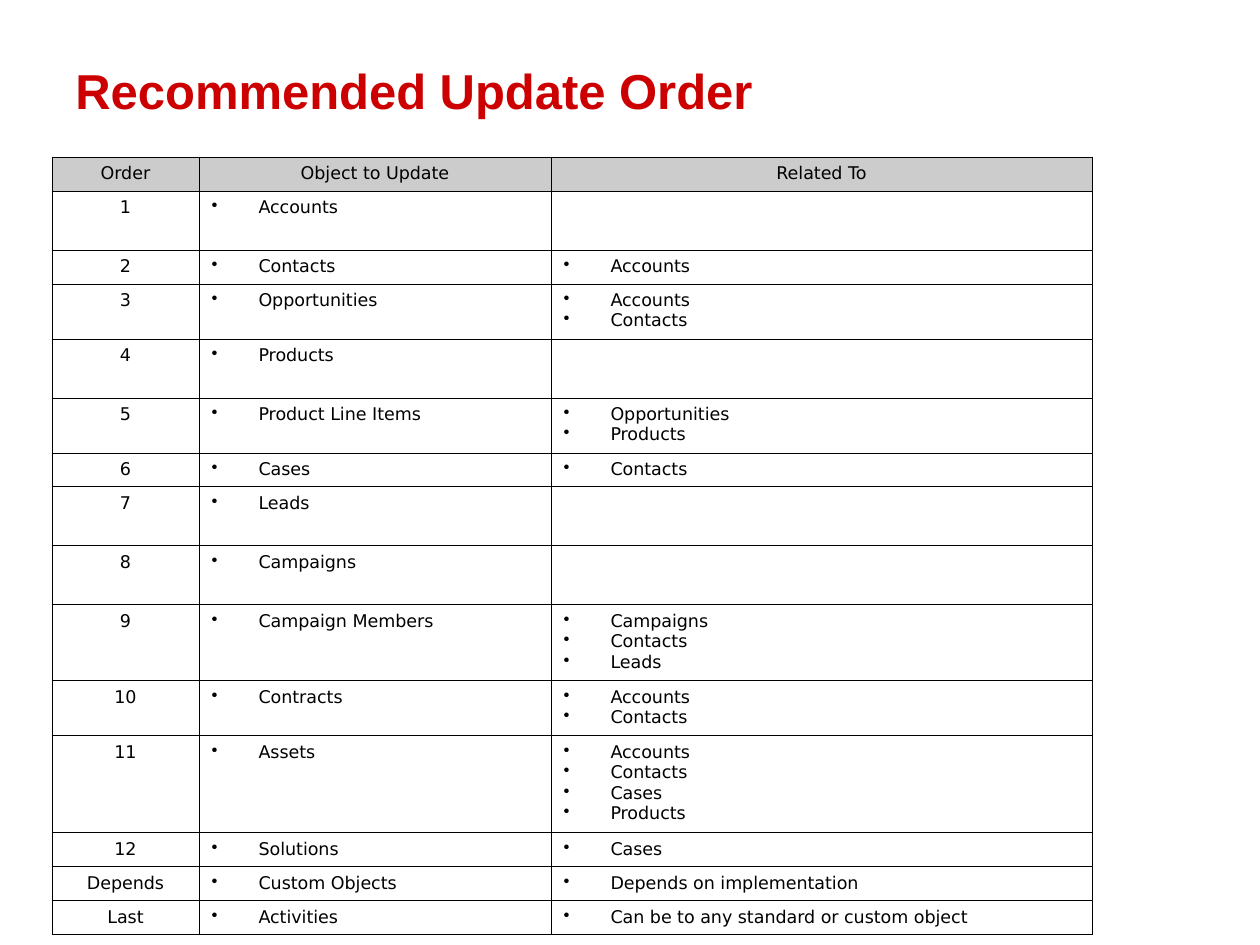
import dataclasses

import lxml.etree
import pptx
import pptx.dml.color
import pptx.enum.text
import pptx.oxml.ns
import pptx.presentation
import pptx.slide
import pptx.table
import pptx.text.text
import pptx.util

PX_PER_INCH = 126
RED = pptx.dml.color.RGBColor(0xCC, 0x00, 0x00)
BLACK = pptx.dml.color.RGBColor(0x00, 0x00, 0x00)
GREY = pptx.dml.color.RGBColor(0xCC, 0xCC, 0xCC)
TITLE_FONT = "Arial"
TABLE_FONT = "DejaVu Sans"
BORDER = pptx.util.Pt(0.45)
INDENT = 47
CELL_PADDING = 13
LINE_HEIGHT = 21
EMPTY_CELL_HEIGHT = 59
COLUMN_WIDTHS = (147, 352, 541)
HEADINGS = ("Order", "Object to Update", "Related To")


@dataclasses.dataclass(frozen=True)
class UpdateStep:
    order: str
    target: str
    related: tuple[str, ...] = ()

    @property
    def height(self) -> int:
        if not self.related:
            return EMPTY_CELL_HEIGHT
        return CELL_PADDING + LINE_HEIGHT * len(self.related)


STEPS = (
    UpdateStep("1", "Accounts"),
    UpdateStep("2", "Contacts", ("Accounts",)),
    UpdateStep("3", "Opportunities", ("Accounts", "Contacts")),
    UpdateStep("4", "Products"),
    UpdateStep("5", "Product Line Items", ("Opportunities", "Products")),
    UpdateStep("6", "Cases", ("Contacts",)),
    UpdateStep("7", "Leads"),
    UpdateStep("8", "Campaigns"),
    UpdateStep("9", "Campaign Members", ("Campaigns", "Contacts", "Leads")),
    UpdateStep("10", "Contracts", ("Accounts", "Contacts")),
    UpdateStep("11", "Assets", ("Accounts", "Contacts", "Cases", "Products")),
    UpdateStep("12", "Solutions", ("Cases",)),
    UpdateStep("Depends", "Custom Objects", ("Depends on implementation",)),
    UpdateStep("Last", "Activities", ("Can be to any standard or custom object",)),
)


def px(length: int) -> pptx.util.Emu:
    return pptx.util.Emu(round(length * 914400 / PX_PER_INCH))


def add_element(parent: lxml.etree._Element, tag: str, **attributes: str) -> lxml.etree._Element:
    element = lxml.etree.SubElement(parent, pptx.oxml.ns.qn(tag))
    for name, value in attributes.items():
        element.set(name, value)
    return element


def add_run(
    para: pptx.text.text._Paragraph,
    text: str,
    font: str,
    size: int,
    color: pptx.dml.color.RGBColor,
    bold: bool = False,
) -> None:
    span = para.add_run()
    span.text = text
    span.font.name = font
    span.font.size = pptx.util.Pt(size)
    span.font.bold = bold
    span.font.color.rgb = color


def set_borders(cell: pptx.table._Cell) -> None:
    properties = cell._tc.get_or_add_tcPr()
    for position, side in enumerate(("a:lnL", "a:lnR", "a:lnT", "a:lnB")):
        line = add_element(properties, side, w=str(BORDER))
        fill = add_element(line, "a:solidFill")
        add_element(fill, "a:srgbClr", val=str(BLACK))
        properties.insert(position, line)


def write_cell(cell: pptx.table._Cell, lines: tuple[str, ...], bulleted: bool) -> None:
    cell.margin_left = cell.margin_right = pptx.util.Inches(0.1)
    cell.margin_top = cell.margin_bottom = pptx.util.Inches(0.05)
    set_borders(cell)
    for number, text in enumerate(lines):
        frame = cell.text_frame
        para = frame.add_paragraph() if number else frame.paragraphs[0]
        properties = para._p.get_or_add_pPr()
        properties.set("marL", str(px(INDENT)))
        properties.set("indent", str(-px(INDENT)))
        if bulleted:
            para.alignment = pptx.enum.text.PP_ALIGN.LEFT
            bullet_color = add_element(properties, "a:buClr")
            add_element(bullet_color, "a:srgbClr", val=str(BLACK))
            add_element(properties, "a:buChar", char="•")
        else:
            para.alignment = pptx.enum.text.PP_ALIGN.CENTER
        add_run(para, text, TABLE_FONT, 10, BLACK)


def add_title(page: pptx.slide.Slide) -> None:
    box = page.shapes.add_textbox(px(63), px(32), px(1113), px(116))
    frame = box.text_frame
    frame.word_wrap = True
    frame.vertical_anchor = pptx.enum.text.MSO_ANCHOR.MIDDLE
    add_run(frame.paragraphs[0], "Recommended Update Order", TITLE_FONT, 28, RED, bold=True)


def add_update_table(page: pptx.slide.Slide) -> None:
    heights = [CELL_PADDING + LINE_HEIGHT] + [step.height for step in STEPS]
    frame = page.shapes.add_table(
        len(heights), len(COLUMN_WIDTHS), px(52), px(157), px(sum(COLUMN_WIDTHS)), px(sum(heights))
    )
    table = frame.table
    table.first_row = False
    table.horz_banding = False
    for column, width in zip(table.columns, COLUMN_WIDTHS):
        column.width = px(width)
    for row, height in zip(table.rows, heights):
        row.height = px(height)
    for column, heading in enumerate(HEADINGS):
        cell = table.cell(0, column)
        cell.fill.solid()
        cell.fill.fore_color.rgb = GREY
        write_cell(cell, (heading,), bulleted=False)
    for row, step in enumerate(STEPS, start=1):
        for column, lines in enumerate(((step.order,), (step.target,), step.related)):
            cell = table.cell(row, column)
            cell.fill.background()
            write_cell(cell, lines, bulleted=column > 0)


def main() -> None:
    deck = pptx.Presentation()
    deck.slide_width = px(1260)
    deck.slide_height = px(945)
    page = deck.slides.add_slide(deck.slide_layouts[6])
    add_title(page)
    add_update_table(page)
    deck.save("out.pptx")


if __name__ == "__main__":
    main()
